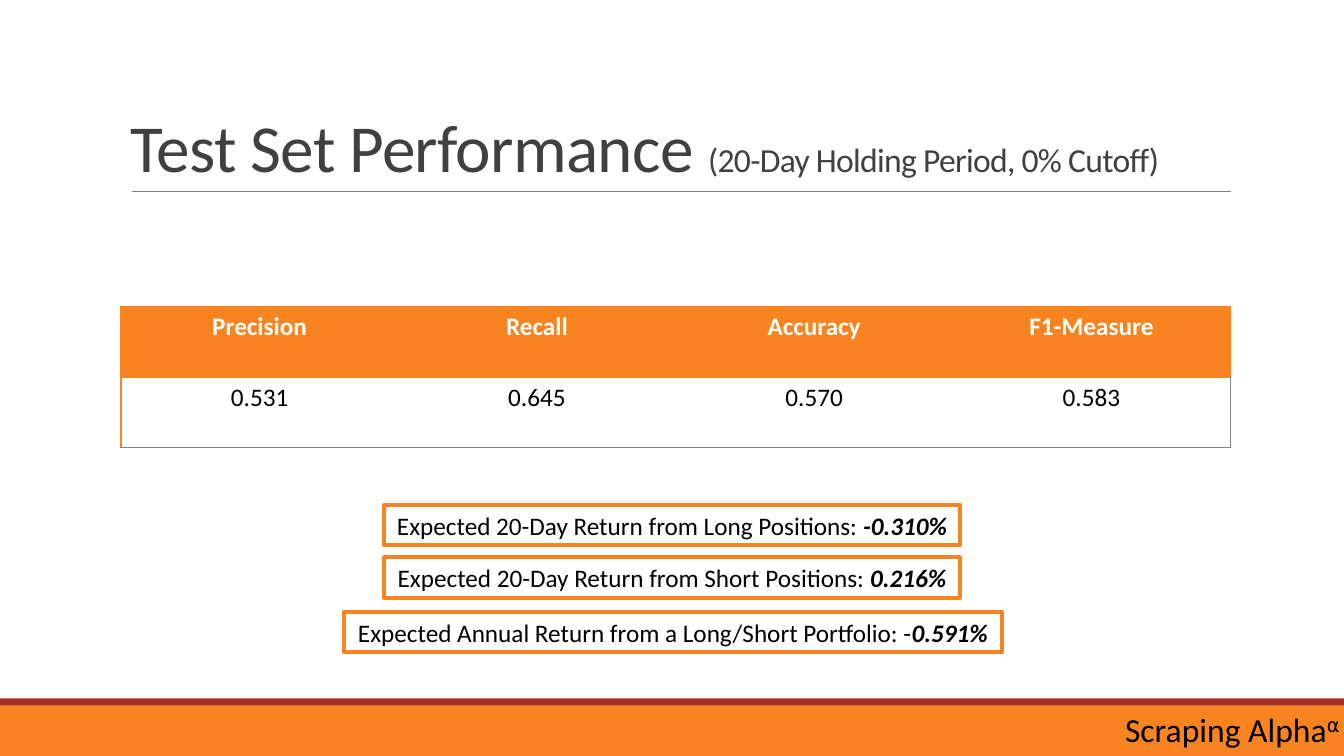
from lxml import etree
from pptx import Presentation
from pptx.dml.color import RGBColor
from pptx.enum import shapes, text
from pptx.oxml import ns
from pptx.util import Inches, Pt

ORANGE, RED, GRAY, BLACK, WHITE = "F88421", "A72F1D", "808080", "000000", "FFFFFF"


def color(hex_value):
    return RGBColor.from_string(hex_value)


def write(frame, runs, size=18, ink=BLACK, align=text.PP_ALIGN.LEFT):
    """Fill the first paragraph with (text, format) runs; return the paragraph."""
    paragraph = frame.paragraphs[0]
    paragraph.alignment = align
    for words, style in runs:
        run = paragraph.add_run()
        run.text = words
        run.font.name = "Calibri"
        run.font.size = Pt(style.get("size", size))
        run.font.color.rgb = color(ink)
        run.font.bold = style.get("bold", False)
        run.font.italic = style.get("italic", False)
        for name in ("spc", "baseline"):
            if name in style:
                run.font._element.set(name, str(style[name]))
    return paragraph


presentation = Presentation()
presentation.slide_width, presentation.slide_height = Inches(13.33), Inches(7.5)
slide = presentation.slides.add_slide(presentation.slide_layouts[6])

# Footer bands and title rule
for top, height, fill in ((7, 0.5, ORANGE), (6.93, 0.07, RED)):
    band = slide.shapes.add_shape(shapes.MSO_SHAPE.RECTANGLE, 0, Inches(top),
                                  Inches(13.33), Inches(height))
    band.shadow.inherit = False
    band.fill.solid()
    band.fill.fore_color.rgb = color(fill)
    band.line.fill.background()

rule = slide.shapes.add_connector(shapes.MSO_CONNECTOR.STRAIGHT, Inches(1.31), Inches(1.9),
                                  Inches(12.21), Inches(1.9))
rule.line.color.rgb = color(GRAY)
rule.line.width = Pt(0.5)
etree.SubElement(rule._element.spPr, ns.qn("a:effectLst"))

# Title
title = slide.shapes.add_textbox(Inches(1.2), Inches(0.31), Inches(11), Inches(1.59)).text_frame
title.word_wrap = True
title.vertical_anchor = text.MSO_ANCHOR.BOTTOM
heading = write(title, [("Test Set Performance ", {"size": 48, "spc": -50}),
                        ("(20-Day Holding Period, 0% Cutoff)", {"size": 24, "spc": -50})],
                ink="404040")
heading.line_spacing = 0.85

# Metrics table
metrics = (("Precision", "Recall", "Accuracy", "F1-Measure"),
           ("0.531", "0.645", "0.570", "0.583"))
table = slide.shapes.add_table(2, 4, Inches(1.2), Inches(3.04), Inches(11), Inches(1.4)).table
table.horz_banding = False
for row, values in enumerate(metrics):
    header = row == 0
    for column, value in enumerate(values):
        cell = table.cell(row, column)
        borders = {
            "lnL": (ORANGE, 1) if column == 0 else None,
            "lnR": ((ORANGE, 1) if header else (GRAY, 0.5)) if column == 3 else None,
            "lnT": (ORANGE, 1),
            "lnB": (ORANGE, 1) if header else (GRAY, 0.5),
        }
        properties = cell._tc.get_or_add_tcPr()
        for side, border in borders.items():
            line = etree.SubElement(properties, ns.qn("a:" + side))
            if border:
                line.set("w", str(Pt(border[1])))
                solid = etree.SubElement(line, ns.qn("a:solidFill"))
                etree.SubElement(solid, ns.qn("a:srgbClr"), val=border[0])
            else:
                etree.SubElement(line, ns.qn("a:noFill"))
        cell.fill.solid()
        cell.fill.fore_color.rgb = color(ORANGE if header else WHITE)
        write(cell.text_frame, [(value, {"bold": header})],
              ink=WHITE if header else BLACK, align=text.PP_ALIGN.CENTER)

# Footer name
footer = slide.shapes.add_textbox(Inches(11.06), Inches(6.98), Inches(2.49), Inches(0.5)).text_frame
footer.word_wrap = True
write(footer, [("Scraping Alpha", {}), ("⍺", {"baseline": 30000})], size=24)

# Expected returns
returns = (
    (3.81, 5.01, 5.71, "Expected 20-Day Return from Long Positions: ", "-0.310%"),
    (3.81, 5.53, 5.71, "Expected 20-Day Return from Short Positions: ", "0.216%"),
    (3.41, 6.07, 6.53, "Expected Annual Return from a Long/Short Portfolio: -", "0.591%"),
)
for left, top, width, label, value in returns:
    box = slide.shapes.add_shape(shapes.MSO_SHAPE.RECTANGLE, Inches(left), Inches(top),
                                 Inches(width), Inches(0.4))
    box.shadow.inherit = False
    box.fill.background()
    box.line.color.rgb = color(ORANGE)
    box.line.width = Pt(3)
    box.text_frame.word_wrap = False
    write(box.text_frame, [(label, {}), (value, {"bold": True, "italic": True})],
          align=text.PP_ALIGN.CENTER)

presentation.save("out.pptx")
